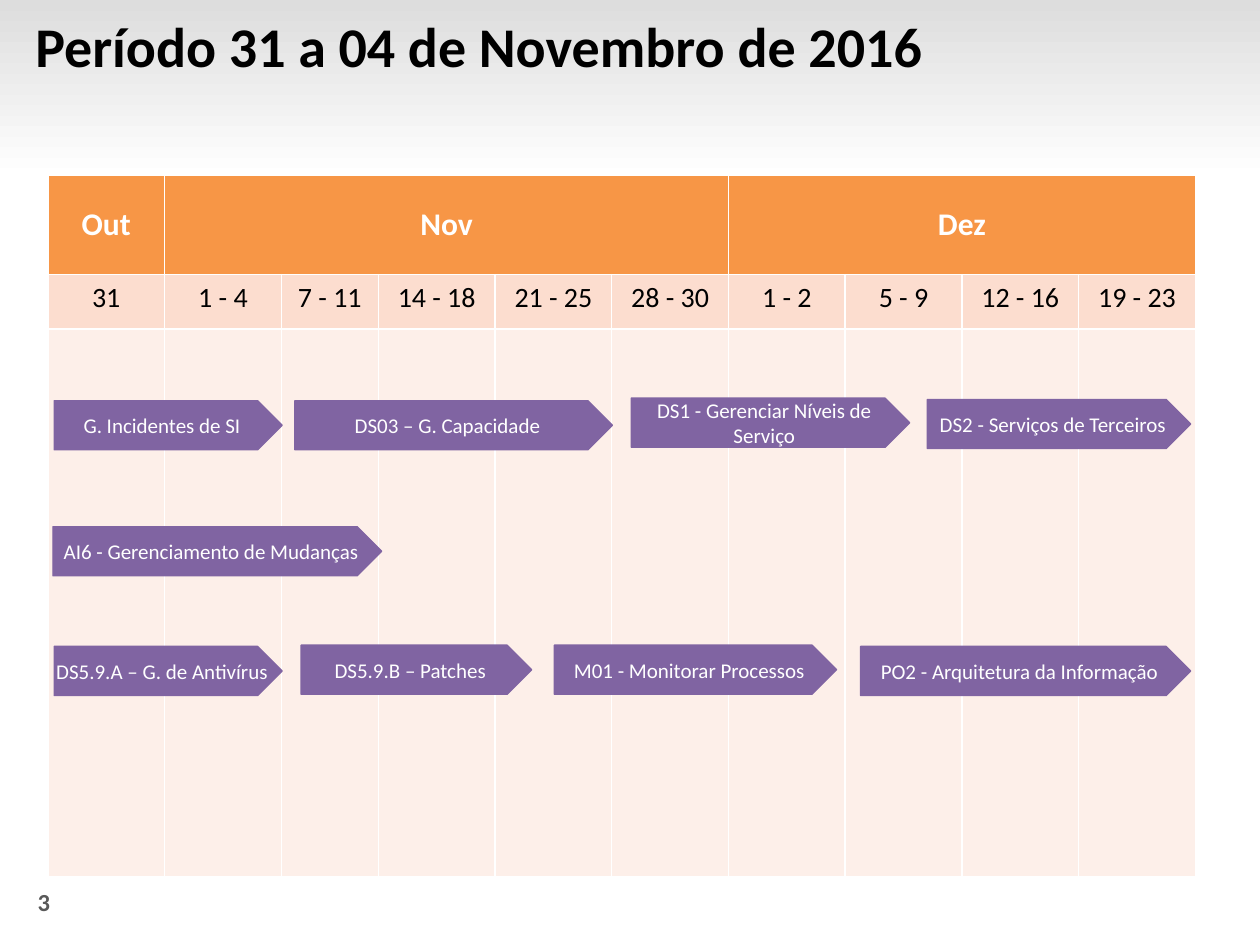
from dataclasses import dataclass

from pptx import Presentation
from pptx.dml.color import RGBColor
from pptx.enum.shapes import MSO_SHAPE
from pptx.enum.text import MSO_ANCHOR, PP_ALIGN
from pptx.util import Inches, Pt


@dataclass(frozen=True)
class Theme:
    font: str = "Calibri"
    black: str = "000000"
    white: str = "FFFFFF"
    band_gray: str = "DDDDDD"
    number_gray: str = "595959"
    month_fill: str = "F79646"
    week_fill: str = "FCDDCF"
    body_fill: str = "FDEFE9"
    task_fill: str = "8064A2"
    title_size: int = 32
    month_size: int = 18
    week_size: int = 16
    number_size: int = 14
    task_size: int = 12


THEME = Theme()

# Month name and its weeks
CALENDAR = [
    ("Out", ["31"]),
    ("Nov", ["1 - 4", "7 - 11", "14 - 18", "21 - 25", "28 - 30"]),
    ("Dez", ["1 - 2", "5 - 9", "12 - 16", "19 - 23"]),
]
NARROW_WEEK, NARROW_WIDTH = "7 - 11", 0.77
ROW_HEIGHTS = [0.79, 0.43, 4.35]

# Left and top inside the schedule, width, task name
TASKS = [
    (0.05, 1.79, 1.81, "G. Incidentes de SI"),
    (1.96, 1.79, 2.52, "DS03 – G. Capacidade"),
    (4.63, 1.77, 2.21, "DS1 - Gerenciar Níveis de Serviço"),
    (6.98, 1.78, 2.09, "DS2 - Serviços de Terceiros"),
    (0.04, 2.79, 2.61, "AI6 - Gerenciamento de Mudanças"),
    (0.05, 3.74, 1.81, "DS5.9.A – G. de Antivírus"),
    (2.01, 3.73, 1.83, "DS5.9.B – Patches"),
    (4.02, 3.73, 2.24, "M01 - Monitorar Processos"),
    (6.45, 3.74, 2.62, "PO2 - Arquitetura da Informação"),
]
TASK_HEIGHT = 0.39


def rgb(code):
    return RGBColor.from_string(code)


def write(frame, text, size, color=THEME.white, bold=False, align=PP_ALIGN.CENTER):
    paragraph = frame.paragraphs[0]
    paragraph.alignment = align
    run = paragraph.add_run()
    run.text = text
    run.font.name = THEME.font
    run.font.size = Pt(size)
    run.font.bold = bold
    run.font.color.rgb = rgb(color)


def add_label(slide, box, text, margin_left=0.1, **text_format):
    frame = slide.shapes.add_textbox(*map(Inches, box)).text_frame
    frame.word_wrap = True
    frame.vertical_anchor = MSO_ANCHOR.MIDDLE
    frame.margin_left = Inches(margin_left)
    write(frame, text, align=PP_ALIGN.LEFT, **text_format)


def add_header(slide, left, top, width, height):
    # Gradient band fading downwards
    band = slide.shapes.add_shape(
        MSO_SHAPE.RECTANGLE, *map(Inches, (left, top, width, height)))
    band.shadow.inherit = False
    band.line.fill.background()
    band.fill.gradient()
    band.fill.gradient_angle = 270
    for stop, color in zip(band.fill.gradient_stops, (THEME.band_gray, THEME.white)):
        stop.color.rgb = rgb(color)

    # Title
    add_label(slide, (left, top, 8.81, height / 2),
              "Período 31 a 04 de Novembro de 2016", margin_left=0.28,
              size=THEME.title_size, color=THEME.black, bold=True)


def fill_cell(cell, fill):
    cell.fill.solid()
    cell.fill.fore_color.rgb = rgb(fill)


def add_calendar(slide, left, top, width, height):
    weeks = [week for _, month_weeks in CALENDAR for week in month_weeks]
    table = slide.shapes.add_table(
        len(ROW_HEIGHTS), len(weeks),
        *map(Inches, (left, top, width, height))).table
    table.horz_banding = False
    for row, row_height in zip(table.rows, ROW_HEIGHTS):
        row.height = Inches(row_height)

    # Week columns
    week_width = (width - NARROW_WIDTH) / (len(weeks) - 1)
    for index, week in enumerate(weeks):
        table.columns[index].width = Inches(
            NARROW_WIDTH if week == NARROW_WEEK else week_width)
        for row, fill in enumerate((THEME.month_fill, THEME.week_fill, THEME.body_fill)):
            fill_cell(table.cell(row, index), fill)
        write(table.cell(1, index).text_frame, week,
              size=THEME.week_size, color=THEME.black)

    # Month headings
    first = 0
    for month, month_weeks in CALENDAR:
        last = first + len(month_weeks) - 1
        heading = table.cell(0, first)
        if last > first:
            heading.merge(table.cell(0, last))
        heading.vertical_anchor = MSO_ANCHOR.MIDDLE
        write(heading.text_frame, month, size=THEME.month_size, bold=True)
        first = last + 1


def add_task(slide, left, top, width, height, name):
    task = slide.shapes.add_shape(
        MSO_SHAPE.PENTAGON, *map(Inches, (left, top, width, height)))
    task.shadow.inherit = False
    task.fill.solid()
    task.fill.fore_color.rgb = rgb(THEME.task_fill)
    task.line.color.rgb = rgb(THEME.task_fill)
    task.line.width = Pt(0.75)
    frame = task.text_frame
    frame.word_wrap = True
    frame.vertical_anchor = MSO_ANCHOR.MIDDLE
    frame.margin_left = frame.margin_right = 0
    frame.margin_top = frame.margin_bottom = 0
    write(frame, name, size=THEME.task_size)


def add_schedule(slide, left, top, width, height):
    add_calendar(slide, left, top, width, height)
    for task_left, task_top, task_width, name in TASKS:
        add_task(slide, left + task_left, top + task_top,
                 task_width, TASK_HEIGHT, name)


def main():
    deck = Presentation()
    deck.slide_width, deck.slide_height = Inches(10), Inches(7.5)
    slide = deck.slides.add_slide(deck.slide_layouts[6])

    add_header(slide, 0, 0, 10, 1.42)
    add_schedule(slide, 0.38, 1.39, 9.11, 5.57)
    # Page number
    add_label(slide, (0.2, 6.99, 0.79, 0.34), "3", size=THEME.number_size,
              color=THEME.number_gray, bold=True)

    deck.save("out.pptx")


if __name__ == "__main__":
    main()
